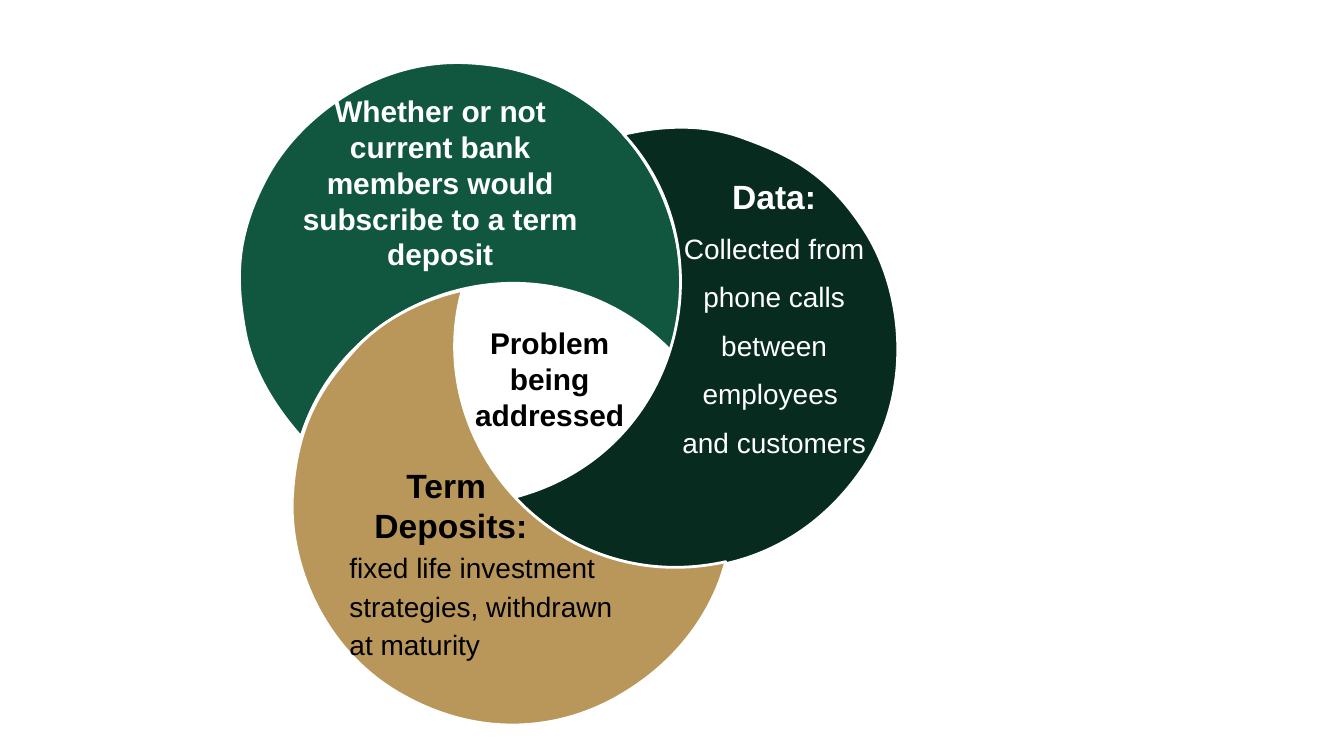
from dataclasses import dataclass

from lxml import etree
from pptx import Presentation
from pptx.dml.color import RGBColor
from pptx.enum.text import PP_ALIGN
from pptx.oxml.ns import qn
from pptx.util import Inches, Pt


@dataclass(frozen=True)
class Theme:
    font: str = "Arial"
    green: str = "115740"
    dark: str = "082B1F"
    gold: str = "B9975B"
    white: str = "FFFFFF"
    black: str = "000000"
    heading: int = 18
    strong: int = 16
    body: int = 15
    outline: float = 1.5


T = Theme()

GREEN_CURVE = [
    (4.99, 2.61),
    (4.08, 1.68), (2.59, 2.13), (2.24, 3.25),
    (2.09, 3.08), (1.88, 2.8), (1.82, 2.45),
    (1.76, 2.1), (1.74, 1.77), (1.99, 1.31),
    (2.24, 0.85), (2.83, 0.42), (3.51, 0.47),
    (4.19, 0.51), (4.66, 0.9), (4.89, 1.37),
    (5.12, 1.84), (5.1, 2.3), (4.99, 2.61),
]
DARK_CURVE = [
    (3.83, 3.7),
    (5.09, 3.37), (5.43, 1.85), (4.64, 1),
    (4.86, 0.95), (5.2, 0.9), (5.54, 1.03),
    (5.87, 1.15), (6.17, 1.29), (6.45, 1.74),
    (6.72, 2.18), (6.8, 2.9), (6.43, 3.47),
    (6.05, 4.04), (5.48, 4.26), (4.96, 4.23),
    (4.43, 4.19), (4.05, 3.95), (3.83, 3.7),
]
GOLD_CURVE = [
    (5.4, 4.18),
    (4.13, 4.46), (3.13, 3.28), (3.44, 2.16),
    (3.22, 2.21), (2.89, 2.33), (2.65, 2.59),
    (2.41, 2.86), (2.22, 3.12), (2.18, 3.64),
    (2.13, 4.17), (2.4, 4.84), (2.99, 5.17),
    (3.59, 5.51), (4.2, 5.43), (4.64, 5.16),
    (5.09, 4.89), (5.32, 4.5), (5.4, 4.18),
]


def add_crescent(shapes, curve, fill):
    start, *points = [(Inches(x), Inches(y)) for x, y in curve]
    builder = shapes.build_freeform(*start, scale=1.0)
    builder.add_line_segments(points, close=True)
    sp = builder.convert_to_shape()
    sp.shadow.inherit = False
    sp.fill.solid()
    sp.fill.fore_color.rgb = RGBColor.from_string(fill)
    sp.line.color.rgb = RGBColor.from_string(T.white)
    sp.line.width = Pt(T.outline)
    bend_segments(sp)


def bend_segments(sp):
    path = next(sp.element.iter(qn("a:path")))
    segments = path.findall(qn("a:lnTo"))
    for i in range(0, len(segments), 3):
        bezier = etree.Element(qn("a:cubicBezTo"))
        segments[i].addprevious(bezier)
        for segment in segments[i:i + 3]:
            bezier.append(segment[0])
            path.remove(segment)


def add_text(shapes, box, color, paragraphs, inset=(0, 0)):
    tf = shapes.add_textbox(*map(Inches, box)).text_frame
    tf.word_wrap = True
    tf.margin_left = tf.margin_right = Inches(inset[0])
    tf.margin_top = tf.margin_bottom = Inches(inset[1])
    for i, (text, size, bold, before) in enumerate(paragraphs):
        p = tf.add_paragraph() if i else tf.paragraphs[0]
        p.text = text
        p.alignment = PP_ALIGN.CENTER
        p.space_before = Pt(before)
        font = p.runs[0].font
        font.name, font.size, font.bold = T.font, Pt(size), bold
        font.color.rgb = RGBColor.from_string(color)
    return tf


def add_term_deposits(shapes):
    add_crescent(shapes, GOLD_CURVE, T.gold)
    tf = add_text(shapes, (2.1, 3.46, 2.51, 1.75), T.black, [
        ("Term ", T.heading, True, 0),
        ("Deposits:", T.heading, True, 0),
        ("fixed life investment strategies, withdrawn at maturity", T.body, False, 0),
    ])
    p = tf.paragraphs[-1]
    p.alignment = PP_ALIGN.LEFT
    p.line_spacing = 1.15
    p.space_after = Pt(16)
    pPr = p._p.get_or_add_pPr()
    pPr.set("marL", str(Inches(0.5)))
    pPr.set("indent", "0")


def main():
    prs = Presentation()
    prs.slide_width = Inches(10)
    prs.slide_height = prs.slide_width * 9 // 16
    s = prs.slides.add_slide(prs.slide_layouts[6])
    add_crescent(s.shapes, GREEN_CURVE, T.green)
    add_crescent(s.shapes, DARK_CURVE, T.dark)
    add_term_deposits(s.shapes.add_group_shape().shapes)
    add_text(s.shapes, (2.13, 0.69, 2.29, 1.12), T.white, [
        ("Whether or not current bank members would subscribe to a term deposit",
         T.strong, True, 8),
    ])
    sources = ["Collected from", "phone calls", "between", "employees ", "and customers"]
    add_text(s.shapes, (4.69, 1.31, 2.14, 1.75), T.white,
             [("Data:", T.heading, True, 0)]
             + [(line, T.body, False, 8) for line in sources])
    add_text(s.shapes, (3.34, 2.37, 1.5, 0.37), T.black,
             [("Problem being addressed", T.strong, True, 0)], inset=(0.1, 0.05))
    prs.save("out.pptx")


main()
